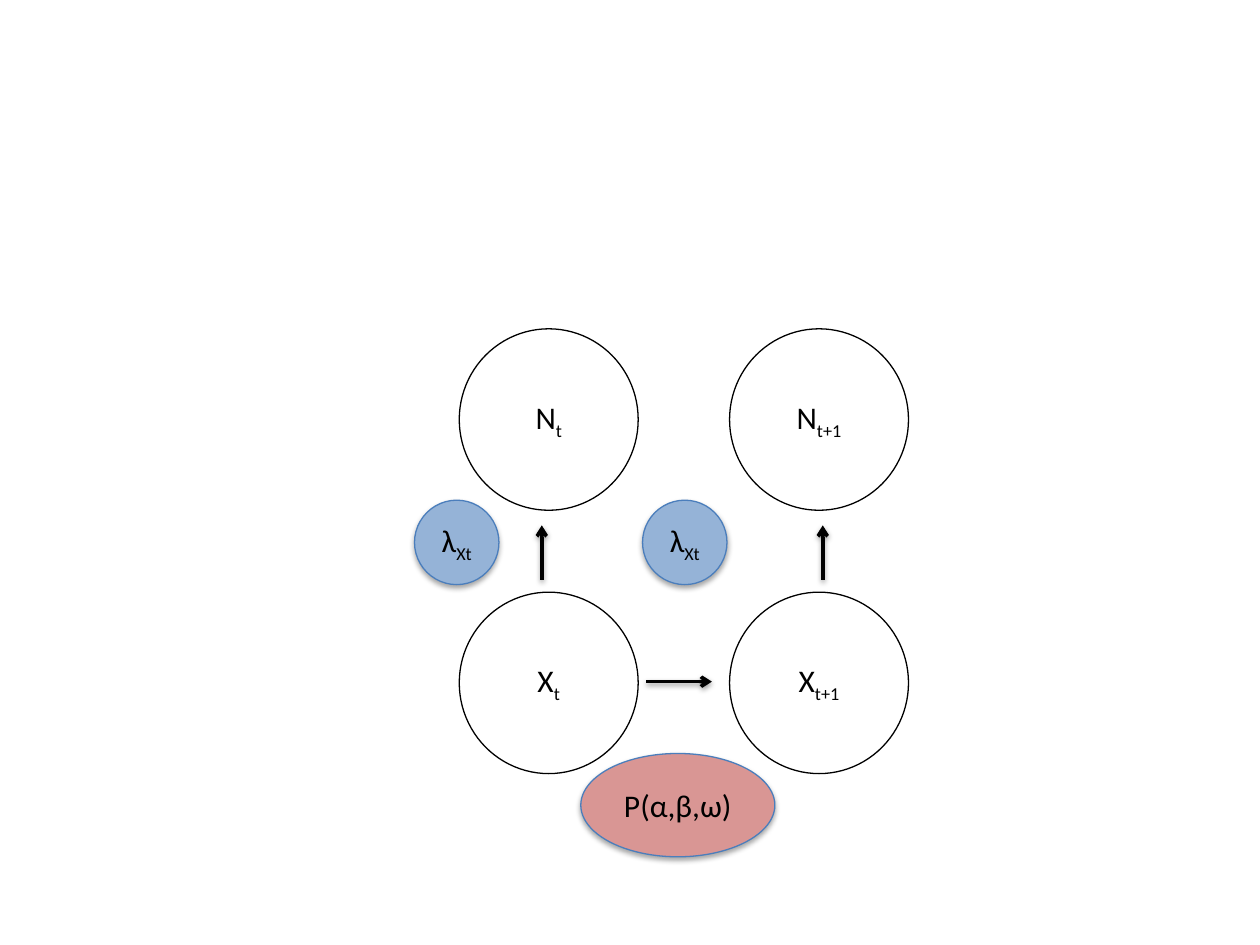
from lxml import etree
from pptx import Presentation
from pptx.dml.color import RGBColor
from pptx.enum.shapes import MSO_CONNECTOR, MSO_SHAPE
from pptx.enum.text import MSO_ANCHOR, PP_ALIGN
from pptx.oxml.ns import qn
from pptx.util import Inches, Pt

OVAL = MSO_SHAPE.OVAL
STRAIGHT = MSO_CONNECTOR.STRAIGHT
MIDDLE = MSO_ANCHOR.MIDDLE
CENTER = PP_ALIGN.CENTER
COLORS = {"white": "FFFFFF", "black": "000000", "blue": "95B3D7",
          "red": "D99694", "edge": "4B7EBC"}


def rgb(name):
    return RGBColor.from_string(COLORS[name])


def add_shadow(effects, alpha, dist):
    """Fill an effect list with a soft shadow that falls straight down."""
    outer = etree.SubElement(effects, qn("a:outerShdw"), blurRad=str(Pt(3.1)),
                             dist=str(Pt(dist)), dir="5400000", rotWithShape="0")
    color = etree.SubElement(outer, qn("a:srgbClr"), val=COLORS["black"])
    etree.SubElement(color, qn("a:alpha"), val=str(alpha * 1000))


class Graph:
    font = "Calibri"
    size = Pt(18)

    def __init__(self, slide):
        self.slide = slide

    def node(self, box, base, sub="", fill="white", edge="black", raised=False):
        oval = self.slide.shapes.add_shape(OVAL, *map(Inches, box))
        oval.fill.solid()
        oval.fill.fore_color.rgb = rgb(fill)
        oval.line.color.rgb = rgb(edge)
        oval.line.width = Pt(0.75)
        oval.shadow.inherit = False
        if raised:
            add_shadow(oval._element.spPr.find(qn("a:effectLst")), 35, 1.8)
        self.label(oval.text_frame, base, sub)

    def label(self, frame, base, sub):
        """Write the base text, followed by a subscript if there is one."""
        frame.text = base
        frame.word_wrap = False
        frame.vertical_anchor = MIDDLE
        line = frame.paragraphs[0]
        line.alignment = CENTER
        if sub:
            run = line.add_run()
            run.text = sub
            run._r.get_or_add_rPr().set("baseline", "-25000")
        for run in line.runs:
            run.font.name = self.font
            run.font.size = self.size
            run.font.color.rgb = rgb("black")

    def arrow(self, start, end):
        line = self.slide.shapes.add_connector(
            STRAIGHT, *map(Inches, (*start, *end)))
        line.line.color.rgb = rgb("black")
        line.line.width = Pt(2)
        props = line._element.spPr
        etree.SubElement(props.find(qn("a:ln")), qn("a:tailEnd"), type="arrow")
        add_shadow(etree.SubElement(props, qn("a:effectLst")), 38, 1.6)


def main():
    deck = Presentation()
    deck.slide_width, deck.slide_height = Inches(10), Inches(7.5)
    graph = Graph(deck.slides.add_slide(deck.slide_layouts[6]))

    for base, top in (("N", 2.61), ("X", 4.7)):
        for sub, left in (("t", 3.645), ("t+1", 5.79)):
            graph.node((left, top, 1.42, 1.44), base, sub)

    graph.arrow((5.13, 5.41), (5.65, 5.41))
    for x in (4.3, 6.53):
        graph.arrow((x, 4.6), (x, 4.17))

    for left in (3.29, 5.1):
        graph.node((left, 3.97, 0.67, 0.67), "λ", "Xt", "blue", "edge", True)
    graph.node((4.61, 5.98, 1.54, 0.82), "P(α,β,ω)", "", "red", "edge", True)

    deck.save("out.pptx")


if __name__ == "__main__":
    main()
